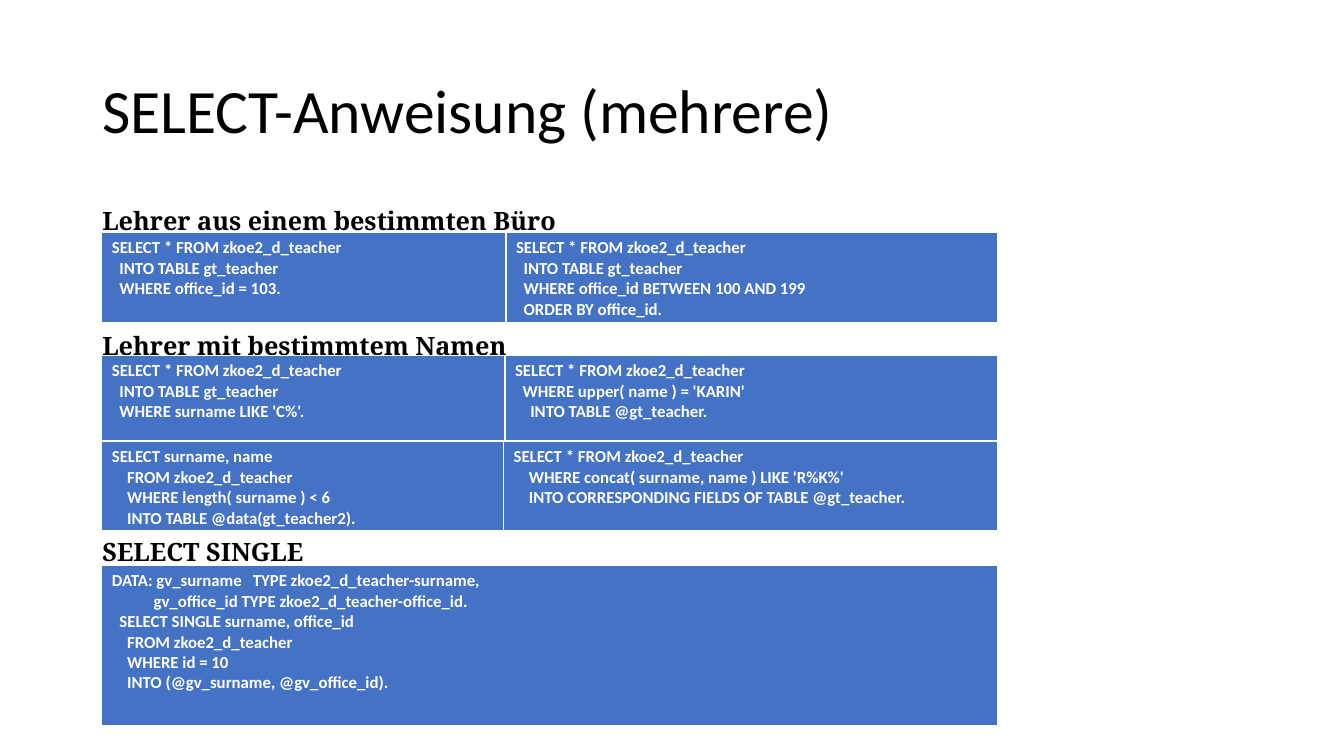
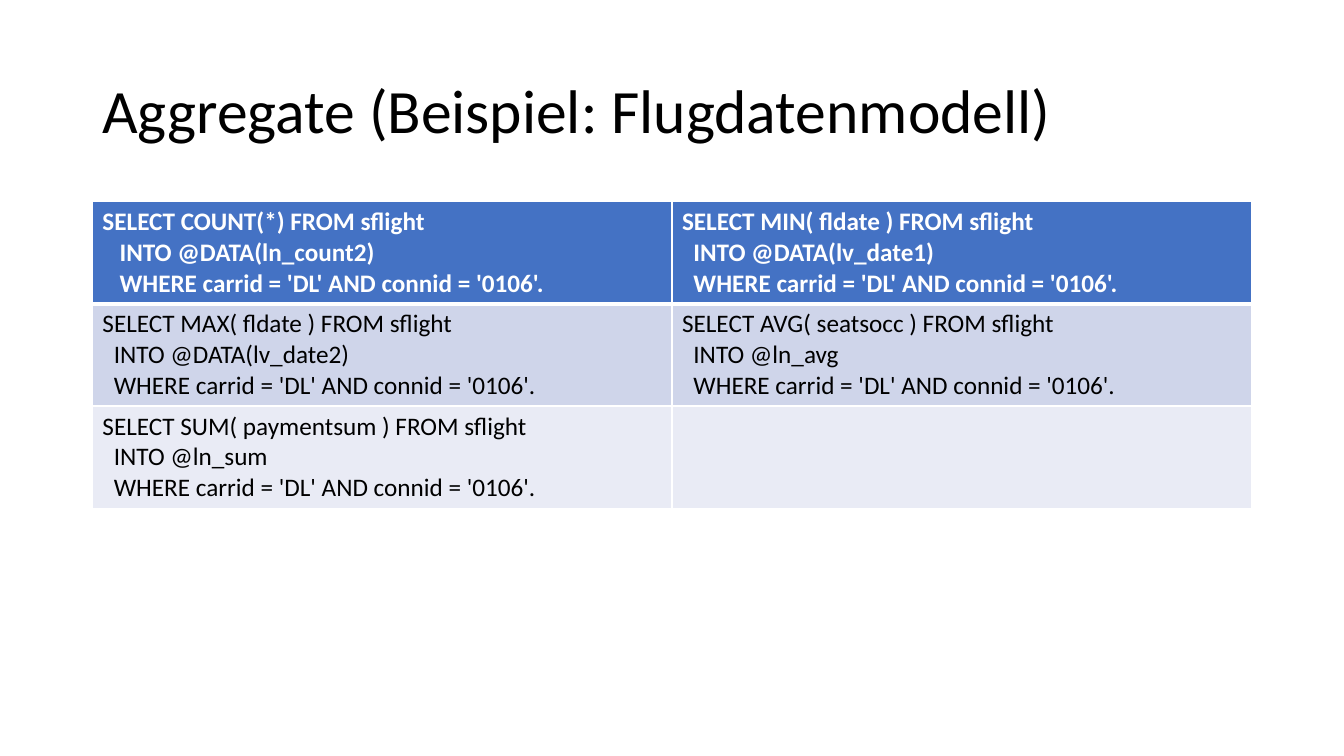
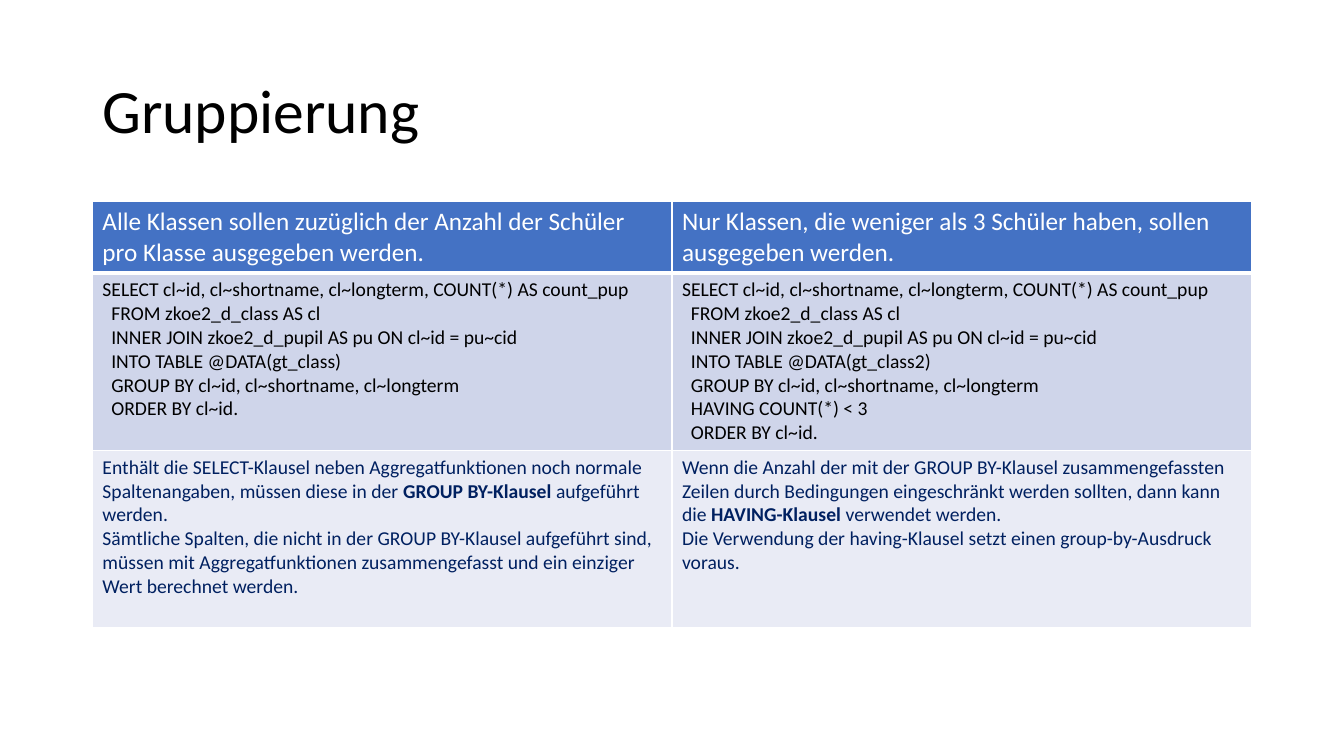
from dataclasses import dataclass

from lxml.etree import SubElement
from pptx import Presentation
from pptx.dml.color import RGBColor
from pptx.enum.text import MSO_ANCHOR
from pptx.oxml.ns import qn
from pptx.util import Pt


@dataclass(frozen=True)
class Theme:
    font: str = "Calibri"
    heading_font: str = "Noto Serif"
    black: RGBColor = RGBColor(0x00, 0x00, 0x00)
    white: RGBColor = RGBColor(0xFF, 0xFF, 0xFF)
    navy: RGBColor = RGBColor(0x00, 0x20, 0x60)
    blue: RGBColor = RGBColor(0x44, 0x72, 0xC4)
    band_dark: RGBColor = RGBColor(0xCF, 0xD5, 0xEA)
    band_light: RGBColor = RGBColor(0xE9, 0xEB, 0xF5)
    title_size: float = 44
    large: float = 18
    medium: float = 14
    small: float = 12
    space_em: float = 0.226  # width of a space, for code indents
    line_spacing: float = 0.9


T = Theme()
MARGIN, CONTENT_W = 66, 828


def write(tf, text, size=T.large, color=T.black, bold=False, font=T.font,
          spacing=None, tab=None):
    """One paragraph per line; leading spaces set the indent, ** toggles bold."""
    for i, line in enumerate(text.split("\n")):
        p = tf.paragraphs[0] if i == 0 else tf.add_paragraph()
        if spacing:
            p.line_spacing = spacing
        body = line.lstrip(" ")
        pPr = p._p.get_or_add_pPr()
        indent = (len(line) - len(body)) * T.space_em * size
        if indent:
            pPr.set("marL", str(int(Pt(indent))))
            pPr.set("indent", "0")
        if tab and "\t" in body:
            stops = SubElement(pPr, qn("a:tabLst"))
            SubElement(stops, qn("a:tab"), pos=str(int(Pt(tab))), algn="l")
        for j, part in enumerate(body.split("**")):
            if part:
                r = p.add_run()
                r.text = part
                r.font.name = font
                r.font.size = Pt(size)
                r.font.bold = bold or j % 2 == 1
                r.font.color.rgb = color


def set_borders(cell, bottom):
    tcPr = cell._tc.get_or_add_tcPr()
    for side, width in (("L", 1), ("R", 1), ("T", 1), ("B", bottom)):
        ln = SubElement(tcPr, qn(f"a:ln{side}"), w=str(int(Pt(width))))
        fill = SubElement(ln, qn("a:solidFill"))
        SubElement(fill, qn("a:srgbClr"), val=str(T.white))


class Deck:
    def __init__(self):
        self.prs = Presentation()
        self.prs.slide_width, self.prs.slide_height = Pt(960), Pt(540)
        self.s = None

    def slide(self, title):
        self.s = self.prs.slides.add_slide(self.prs.slide_layouts[6])
        self.text(title, 28.8, 104.4, size=T.title_size)

    def text(self, text, top, height, **fmt):
        sp = self.s.shapes.add_textbox(Pt(MARGIN), Pt(top), Pt(CONTENT_W), Pt(height))
        tf = sp.text_frame
        tf.word_wrap = True
        tf.vertical_anchor = MSO_ANCHOR.MIDDLE
        write(tf, text, spacing=T.line_spacing, **fmt)

    def heading(self, text, top):
        self.text(text, top, 29.2, font=T.heading_font, bold=True)

    def table(self, left, top, widths, heights, cells, formats):
        """The first row is the header; formats holds one text format per row."""
        table = self.s.shapes.add_table(
            len(heights), len(widths), Pt(left), Pt(top),
            Pt(sum(widths)), Pt(sum(heights))).table
        for col, width in zip(table.columns, widths):
            col.width = Pt(width)
        fills = (T.blue, T.band_dark, T.band_light)
        for i, (row, height) in enumerate(zip(table.rows, heights)):
            row.height = Pt(height)
            for cell, text in zip(row.cells, cells[i]):
                set_borders(cell, bottom=3 if i == 0 else 1)
                cell.fill.solid()
                cell.fill.fore_color.rgb = fills[i]
                write(cell.text_frame, text, **formats[i])

    def code_boxes(self, top, height, widths, *codes):
        fmt = dict(size=T.small, color=T.white, bold=True, tab=100.7)
        self.table(72.7, top, widths, [height], [codes], [fmt])


def aggregate(expression, target, pad=2):
    indent = " " * pad
    return (f"SELECT {expression} FROM sflight\n"
            f"{indent}INTO {target}\n"
            f"{indent}WHERE carrid = 'DL' AND connid = '0106'.")


def class_query(target, having=""):
    return ("SELECT cl~id, cl~shortname, cl~longterm, COUNT(*) AS count_pup\n"
            "  FROM zkoe2_d_class AS cl\n"
            "  INNER JOIN zkoe2_d_pupil AS pu ON cl~id = pu~cid\n"
            f"  INTO TABLE @DATA({target})\n"
            "  GROUP BY cl~id, cl~shortname, cl~longterm\n"
            f"{having}"
            "  ORDER BY cl~id.")


def select_slide(deck):
    deck.slide("SELECT-Anweisung (mehrere)")
    all_teachers = "SELECT * FROM zkoe2_d_teacher\n"
    into_teachers = all_teachers + "  INTO TABLE gt_teacher\n"

    # Teachers by office
    deck.heading("Lehrer aus einem bestimmten Büro", 144)
    deck.code_boxes(
        166.3, 64.3, [288.7, 351.4],
        into_teachers + "  WHERE office_id = 103.",
        into_teachers + "  WHERE office_id BETWEEN 100 AND 199\n"
                        "  ORDER BY office_id.")

    # Teachers by name
    deck.heading("Lehrer mit bestimmtem Namen", 233.3)
    deck.code_boxes(
        254.2, 61.2, [288, 352.1],
        into_teachers + "  WHERE surname LIKE 'C%'.",
        all_teachers + "  WHERE upper( name ) = 'KARIN'\n"
                       "    INTO TABLE @gt_teacher.")
    deck.code_boxes(
        315.4, 64.3, [287, 353.1],
        "SELECT surname, name\n"
        "    FROM zkoe2_d_teacher\n"
        "    WHERE length( surname ) < 6\n"
        "    INTO TABLE @data(gt_teacher2).",
        all_teachers + "    WHERE concat( surname, name ) LIKE 'R%K%'\n"
                       "    INTO CORRESPONDING FIELDS OF TABLE @gt_teacher.")

    # Single record
    deck.heading("SELECT SINGLE", 380.4)
    deck.code_boxes(
        404, 115.2, [640.1],
        "DATA: gv_surname\tTYPE zkoe2_d_teacher-surname,\n"
        "           gv_office_id TYPE zkoe2_d_teacher-office_id.\n"
        "  SELECT SINGLE surname, office_id\n"
        "    FROM zkoe2_d_teacher\n"
        "    WHERE id = 10\n"
        "    INTO (@gv_surname, @gv_office_id).")


def aggregate_slide(deck):
    deck.slide("Aggregate (Beispiel: Flugdatenmodell)")
    cells = [
        [aggregate("COUNT(*)", "@DATA(ln_count2)", pad=3),
         aggregate("MIN( fldate )", "@DATA(lv_date1)")],
        [aggregate("MAX( fldate )", "@DATA(lv_date2)"),
         aggregate("AVG( seatsocc )", "@ln_avg")],
        [aggregate("SUM( paymentsum )", "@ln_sum"), ""],
    ]
    deck.table(MARGIN, 144, [CONTENT_W / 2] * 2, [73] * 3, cells,
               [dict(color=T.white, bold=True), {}, {}])


def grouping_slide(deck):
    deck.slide("Gruppierung")
    cells = [
        ["Alle Klassen sollen zuzüglich der Anzahl der Schüler pro Klasse "
         "ausgegeben werden.",
         "Nur Klassen, die weniger als 3 Schüler haben, sollen ausgegeben werden."],
        [class_query("gt_class"),
         class_query("gt_class2", having="  HAVING COUNT(*) < 3\n")],
        ["Enthält die SELECT-Klausel neben Aggregatfunktionen noch normale "
         "Spaltenangaben, müssen diese in der **GROUP BY-Klausel **aufgeführt werden.\n"
         "Sämtliche Spalten, die nicht in der GROUP BY-Klausel aufgeführt sind, "
         "müssen mit Aggregatfunktionen zusammengefasst und ein einziger Wert "
         "berechnet werden.",
         "Wenn die Anzahl der mit der GROUP BY-Klausel zusammengefassten Zeilen "
         "durch Bedingungen eingeschränkt werden sollten, dann kann die "
         "**HAVING-Klausel** verwendet werden.\n"
         "Die Verwendung der having-Klausel setzt einen group-by-Ausdruck voraus."],
    ]
    deck.table(MARGIN, 144, [CONTENT_W / 2] * 2, [51, 126.8, 126.8], cells,
               [dict(color=T.white), dict(size=T.medium),
                dict(size=T.medium, color=T.navy)])


def main():
    deck = Deck()
    select_slide(deck)
    aggregate_slide(deck)
    grouping_slide(deck)
    deck.prs.save("out.pptx")


if __name__ == "__main__":
    main()
